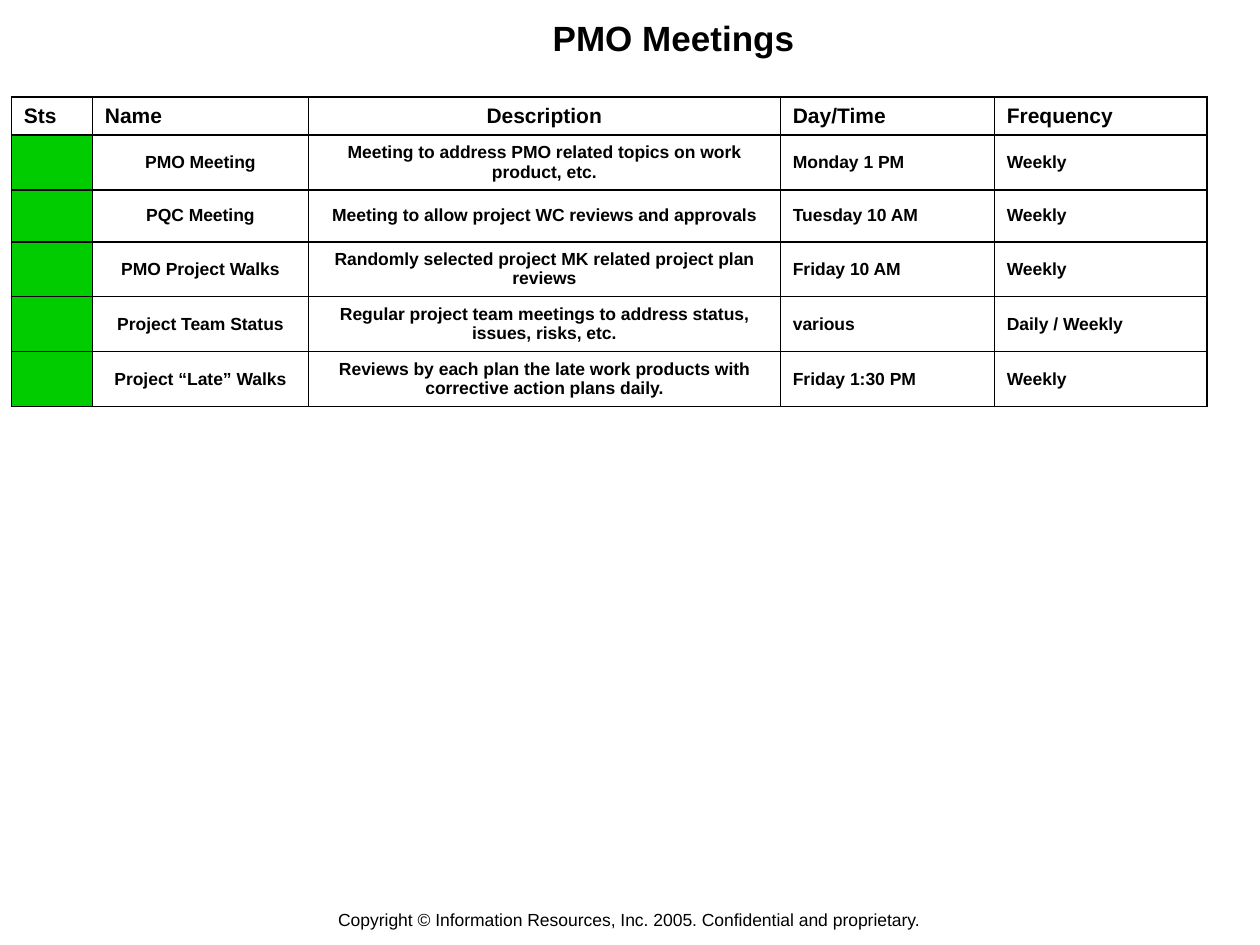
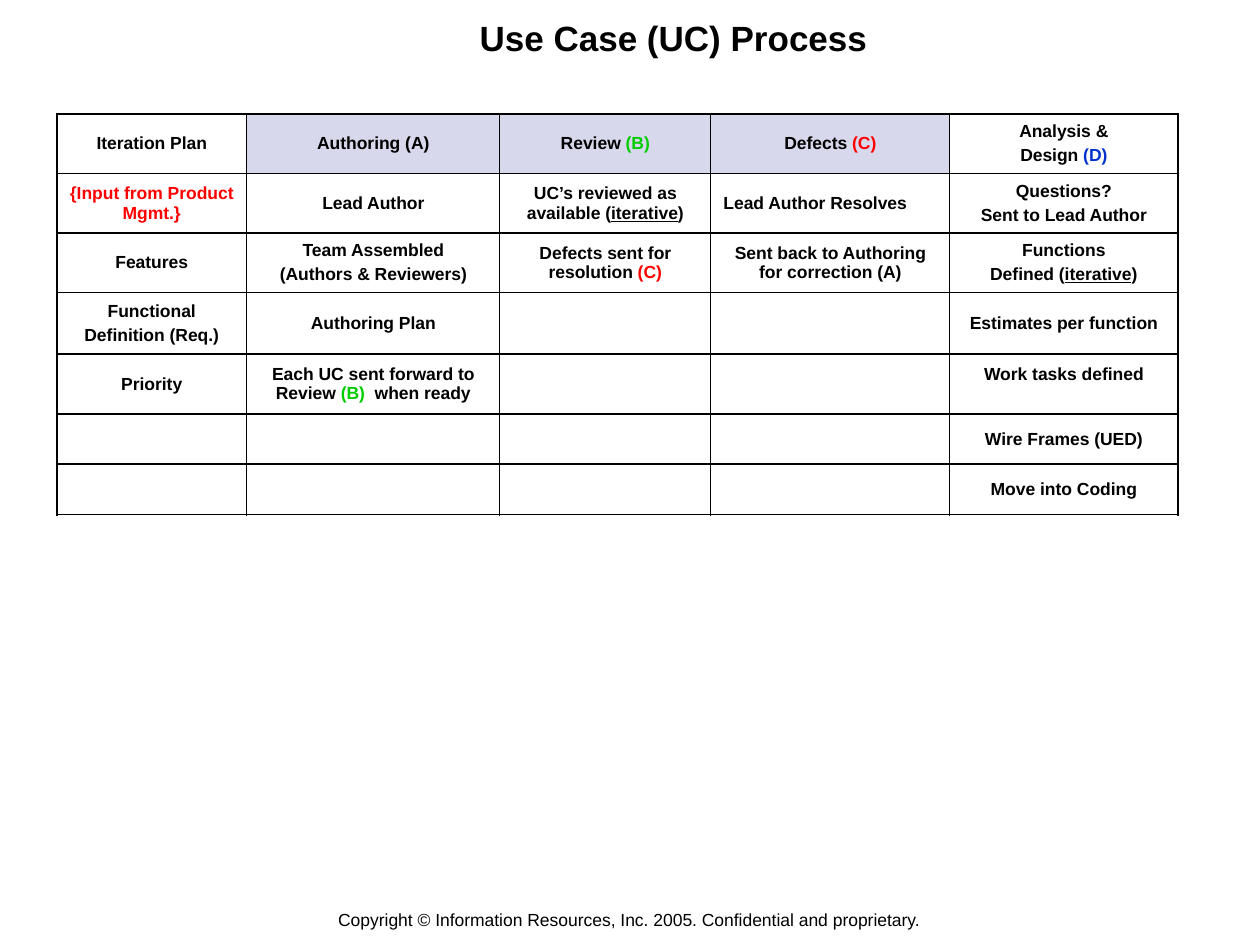
from lxml.etree import SubElement
from pptx import Presentation
from pptx.dml.color import RGBColor
from pptx.enum.text import MSO_ANCHOR as Anchor, PP_ALIGN as Align
from pptx.oxml.ns import qn
from pptx.util import Pt

BLACK = RGBColor(0, 0, 0)
WHITE = RGBColor(255, 255, 255)
GREEN = RGBColor(0, 204, 0)
RED = RGBColor(255, 0, 0)
BLUE = RGBColor(0, 51, 204)
LAVENDER = RGBColor(216, 216, 236)

FONT = "Arial"
THIN, THICK = 0.45, 1.08
TITLE_ONLY = 5
TITLE_BOX = (49.7, 5.8, 670.3, 31.7)
FOOTER_BOX = (179.3, 516.2, 360, 19.4)
FOOTER = "Copyright © Information Resources, Inc. 2005. Confidential and proprietary."

MEETINGS = [
    ("Sts", "Name", "Description", "Day/Time", "Frequency"),
    ("", "PMO Meeting", "Meeting to address PMO related topics on work product, etc.",
     "Monday 1 PM", "Weekly"),
    ("", "PQC Meeting", "Meeting to allow project WC reviews and approvals",
     "Tuesday 10 AM", "Weekly"),
    ("", "PMO Project Walks", "Randomly selected project MK related project plan reviews",
     "Friday 10 AM", "Weekly"),
    ("", "Project Team Status",
     "Regular project team meetings to address status, issues, risks, etc.",
     "various", "Daily / Weekly"),
    ("", "Project “Late” Walks",
     "Reviews by each plan the late work products with corrective action plans daily.",
     "Friday 1:30 PM", "Weekly"),
]
MEETING_COLUMNS = (46.3, 123.4, 269.7, 122.3, 121.7)
MEETING_ROWS = (21.7, 31.4, 29.7, 31.4, 31.4, 31.4)

# A bar separates runs, a line break separates paragraphs.
USE_CASE_STEPS = [
    ("Iteration Plan", "Authoring (A)", "Review |(B)", "Defects |(C)",
     "Analysis &\nDesign |(D)"),
    ("{Input from Product Mgmt.}", "Lead Author",
     "UC’s reviewed as available (|iterative|)", "Lead Author Resolves",
     "Questions?\nSent to Lead Author"),
    ("Features", "Team Assembled\n(Authors & Reviewers)",
     "Defects sent for resolution |(C)", "Sent back to Authoring for correction (A)",
     "Functions\nDefined (|iterative|)"),
    ("Functional\nDefinition (Req.)", "Authoring Plan", "", "", "Estimates per function"),
    ("Priority", "Each UC sent forward to Review |(B)|  when ready", "", "",
     "Work tasks defined"),
    ("", "", "", "", "Wire Frames (UED)"),
    ("", "", "", "", "Move into Coding"),
]
USE_CASE_COLUMNS = (108.6, 144.6, 120.6, 136.6, 130.3)
USE_CASE_ROWS = (34, 34, 34, 35.3, 34, 28.8, 28.8)
RUN_COLOURS = {"(B)": GREEN, "(C)": RED, "(D)": BLUE, "{Input from Product Mgmt.}": RED}
UNDERLINED = {"iterative"}


def format_font(font, size, bold=False, colour=BLACK):
    font.name, font.size, font.bold = FONT, Pt(size), bold
    font.color.rgb = colour


def add_titled_slide(presentation, title):
    slide = presentation.slides.add_slide(presentation.slide_layouts[TITLE_ONLY])
    heading = slide.shapes.title
    heading.left, heading.top, heading.width, heading.height = map(Pt, TITLE_BOX)
    footer = slide.shapes.add_textbox(*map(Pt, FOOTER_BOX))
    for shape, text, size, bold in ((heading, title, 20, True), (footer, FOOTER, 10, False)):
        frame = shape.text_frame
        frame.text, frame.word_wrap = text, True
        paragraph = frame.paragraphs[0]
        paragraph.alignment = Align.CENTER
        format_font(paragraph.runs[0].font, size, bold)
    heading.text_frame.vertical_anchor = Anchor.MIDDLE
    return slide


def fill_cell(cell, text, size, alignment):
    frame = cell.text_frame
    cell.vertical_anchor = Anchor.MIDDLE
    for index, line in enumerate(text.split("\n")):
        paragraph = frame.add_paragraph() if index else frame.paragraphs[0]
        paragraph.alignment = alignment
        if index:
            paragraph.space_before = Pt(2.5)
        for piece in filter(None, line.split("|")):
            run = paragraph.add_run()
            run.text = piece
            format_font(run.font, size, True, RUN_COLOURS.get(piece, BLACK))
            if piece in UNDERLINED:
                run.font.underline = True


def set_borders(cell, left, right):
    properties = cell._tc.get_or_add_tcPr()
    widths = {"a:lnL": left, "a:lnR": right, "a:lnT": THICK, "a:lnB": THICK}
    for index, (tag, width) in enumerate(widths.items()):
        line = SubElement(properties, qn(tag), w=str(Pt(width)))
        fill = SubElement(line, qn("a:solidFill"))
        SubElement(fill, qn("a:srgbClr"), val=str(BLACK))
        properties.insert(index, line)  # borders come before the cell fill


def add_grid(slide, left, top, columns, rows, content, style):
    """Add a bordered table; style(row, column) gives fill, text size and alignment."""
    frame = slide.shapes.add_table(len(rows), len(columns), Pt(left), Pt(top),
                                   Pt(sum(columns)), Pt(sum(rows)))
    table = frame.table
    table.first_row = table.horz_banding = False
    for column, width in zip(table.columns, columns):
        column.width = Pt(width)
    last = len(columns) - 1
    for row, (height, texts) in enumerate(zip(rows, content)):
        table.rows[row].height = Pt(height)
        for column, text in enumerate(texts):
            cell = table.cell(row, column)
            colour, size, alignment = style(row, column)
            cell.fill.solid()
            cell.fill.fore_color.rgb = colour
            fill_cell(cell, text, size, alignment)
            set_borders(cell, THIN if column else THICK, THICK if column == last else THIN)
    return table


def meeting_style(row, column):
    centred = column == 2 or (row and column == 1)
    return (GREEN if row and column == 0 else WHITE,
            10 if row else 12,
            Align.CENTER if centred else Align.LEFT)


def use_case_style(row, column):
    return (LAVENDER if row == 0 and column in (1, 2, 3) else WHITE,
            10,
            Align.LEFT if (row, column) == (1, 3) else Align.CENTER)


def main():
    presentation = Presentation()
    presentation.slide_width, presentation.slide_height = Pt(720), Pt(540)

    meetings = add_titled_slide(presentation, "PMO Meetings")
    add_grid(meetings, 6.5, 55.4, MEETING_COLUMNS, MEETING_ROWS, MEETINGS, meeting_style)

    process = add_titled_slide(presentation, "Use Case (UC) Process")
    steps = add_grid(process, 32.4, 65.2, USE_CASE_COLUMNS, USE_CASE_ROWS,
                     USE_CASE_STEPS, use_case_style)
    steps.cell(4, 4).margin_bottom = Pt(15)  # "Work tasks defined" sits high

    presentation.save("out.pptx")


if __name__ == "__main__":
    main()
